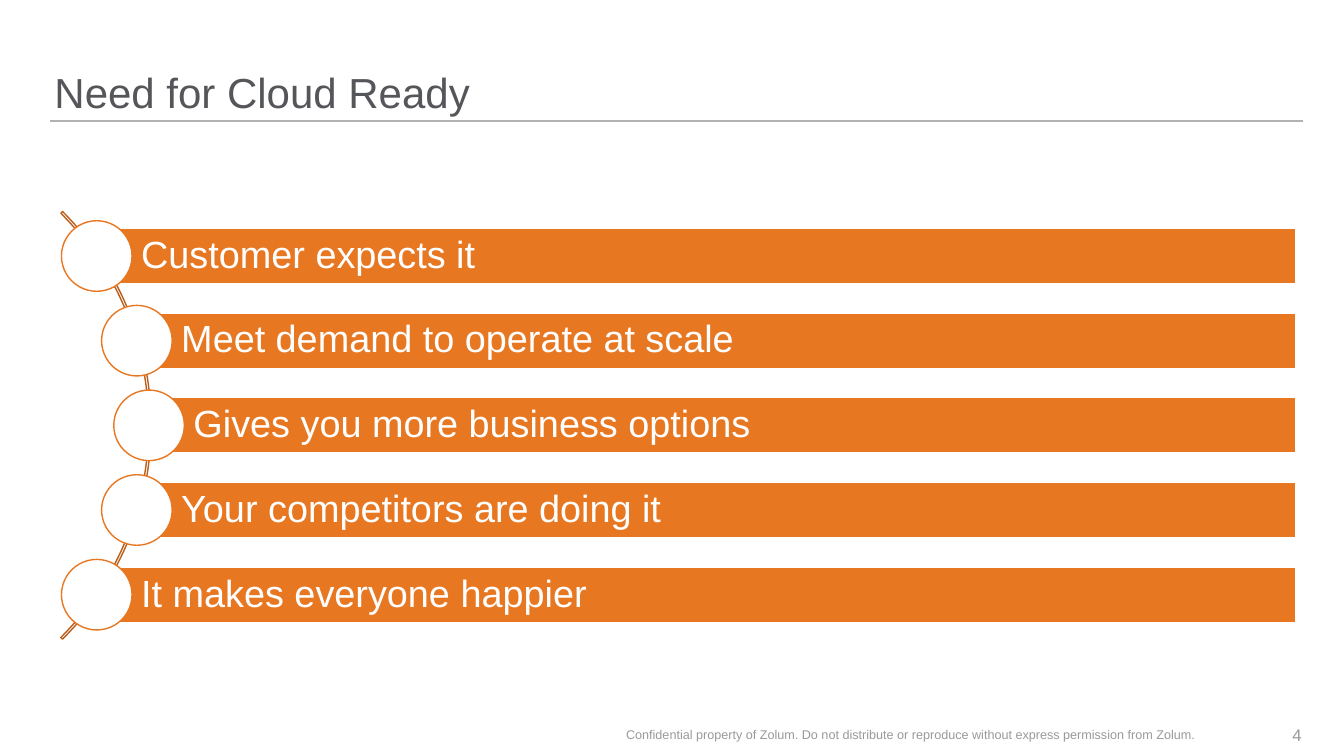
from math import sqrt

from lxml.etree import SubElement
from pptx import Presentation
from pptx.dml.color import RGBColor
from pptx.enum.shapes import MSO_CONNECTOR, MSO_SHAPE
from pptx.enum.text import MSO_ANCHOR, PP_ALIGN
from pptx.oxml.ns import qn
from pptx.util import Inches, Pt

ORANGE, WHITE, GRAY = "E87722", "FFFFFF", "999A9B"
REASONS = [
    "Customer expects it",
    "Meet demand to operate at scale",
    "Gives you more business options",
    "Your competitors are doing it",
    "It makes everyone happier",
]


def rgb(value):
    """Turn a hex string into a colour."""
    return RGBColor.from_string(value)


def set_text(shape, text, size, color, align=PP_ALIGN.LEFT,
             anchor=MSO_ANCHOR.MIDDLE, insets=(0, 0, 0, 0), spacing=None):
    """Write one formatted paragraph into a shape."""
    tf = shape.text_frame
    tf.text = text
    tf.word_wrap = True
    tf.vertical_anchor = anchor
    tf.margin_left, tf.margin_top, tf.margin_right, tf.margin_bottom = map(Inches, insets)
    p = tf.paragraphs[0]
    p.alignment = align
    p.line_spacing = spacing
    font = p.runs[0].font
    font.name, font.size, font.color.rgb = "Arial", Pt(size), rgb(color)


def add_outlined(s, kind, box, line, fill=None):
    """Add a preset shape with a one-point outline and an optional fill."""
    shape = s.shapes.add_shape(kind, *map(Inches, box))
    shape.shadow.inherit = False
    if fill:
        shape.fill.solid()
        shape.fill.fore_color.rgb = rgb(fill)
    else:
        shape.fill.background()
    shape.line.color.rgb = rgb(line)
    shape.line.width = Pt(1)
    return shape


def add_heading(s, text, left, top, width, height):
    """Place the title above a thin rule."""
    title = s.shapes.title
    title.left, title.top = Inches(left + 0.04), Inches(top)
    title.width, title.height = Inches(8.89), Inches(height - 0.03)
    set_text(title, text, 30, "55565A", anchor=MSO_ANCHOR.BOTTOM, spacing=0.9)
    y = Inches(top + height)
    rule = s.shapes.add_connector(MSO_CONNECTOR.STRAIGHT, Inches(left), y,
                                  Inches(left + width), y)
    rule.line.color.rgb = rgb("B1B3B3")
    rule.line.width = Pt(1)
    SubElement(rule._element.spPr, qn("a:effectLst"))


def add_curved_list(s, items, left, top, width, height):
    """Place bars with round markers along an arc bulging to the right."""
    radius, orbit, pitch, bar, dot = 3, 2.98, 0.84, 0.55, 0.7
    center_x = left - radius / sqrt(2)
    center_y = top + height / 2
    arc = add_outlined(s, MSO_SHAPE.BLOCK_ARC,
                       (center_x - radius, center_y - radius, 2 * radius, 2 * radius),
                       "BA5F1B")
    for i, value in enumerate((189, 27, 0.004)):
        arc.adjustments[i] = value
    for i, text in enumerate(items):
        dy = (i - (len(items) - 1) / 2) * pitch
        x, y = center_x + sqrt(orbit ** 2 - dy ** 2), center_y + dy
        rect = add_outlined(s, MSO_SHAPE.RECTANGLE,
                            (x, y - bar / 2, left + width - x, bar), WHITE, ORANGE)
        set_text(rect, text, 27, WHITE, insets=(0.44, 0.07, 0.07, 0.07), spacing=0.9)
        add_outlined(s, MSO_SHAPE.OVAL, (x - dot / 2, y - dot / 2, dot, dot), ORANGE, WHITE)


def add_footer(s, notice, number, left, top, width, height):
    """Place the notice and the page number on one line."""
    number_width = 0.59
    note = s.shapes.add_textbox(*map(Inches, (left, top, 6.48, height)))
    set_text(note, notice, 9, GRAY, PP_ALIGN.CENTER)
    page = s.shapes.add_textbox(
        *map(Inches, (left + width - number_width, top, number_width, height)))
    set_text(page, number, 12, GRAY, PP_ALIGN.RIGHT)


def main():
    """Build and save the slide."""
    prs = Presentation()
    prs.slide_width, prs.slide_height = Inches(13.33), Inches(7.5)
    s = prs.slides.add_slide(prs.slide_layouts[5])
    add_heading(s, "Need for Cloud Ready", 0.5, 0, 12.42, 1.2)
    add_curved_list(s, REASONS, 0.62, 2.1, 12.23, 4.24)
    add_footer(s, "Confidential property of Zolum. Do not distribute or reproduce "
                  "without express permission from Zolum.", "4", 5.79, 7.09, 7.12, 0.4)
    prs.save("out.pptx")


if __name__ == "__main__":
    main()
